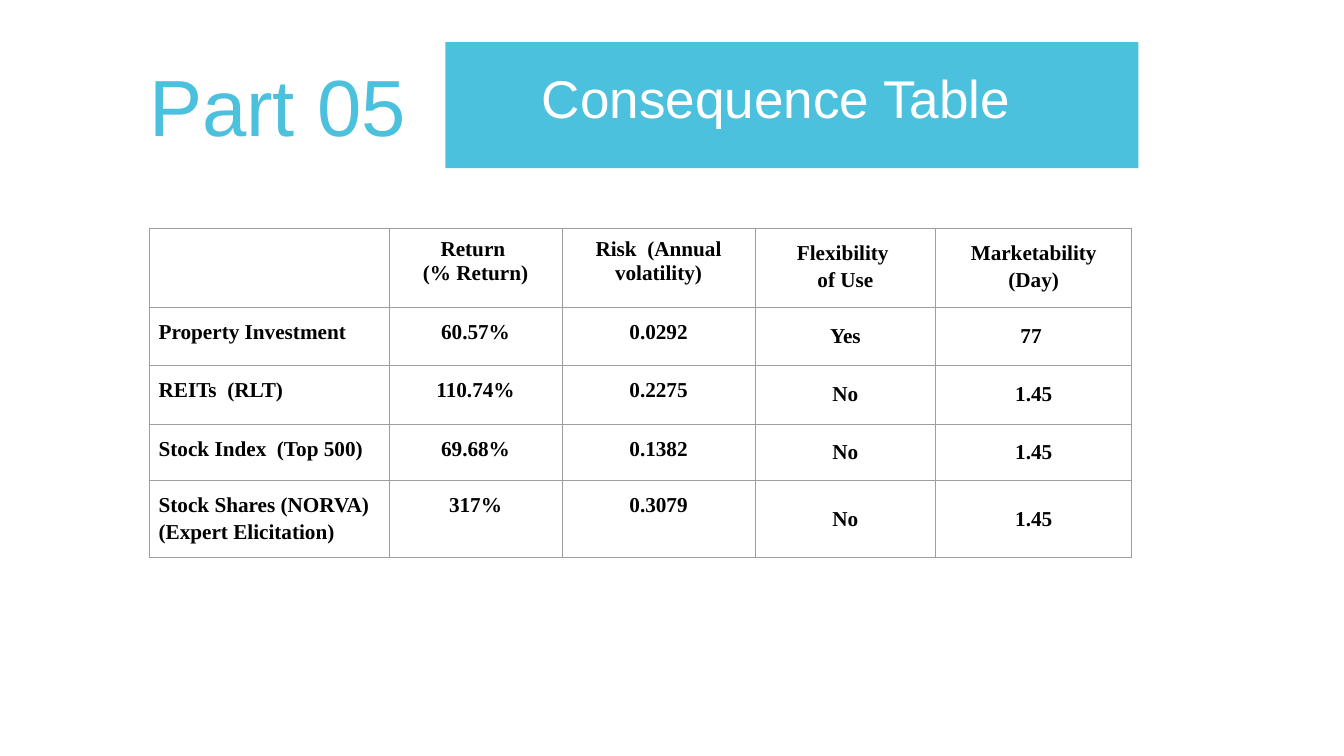
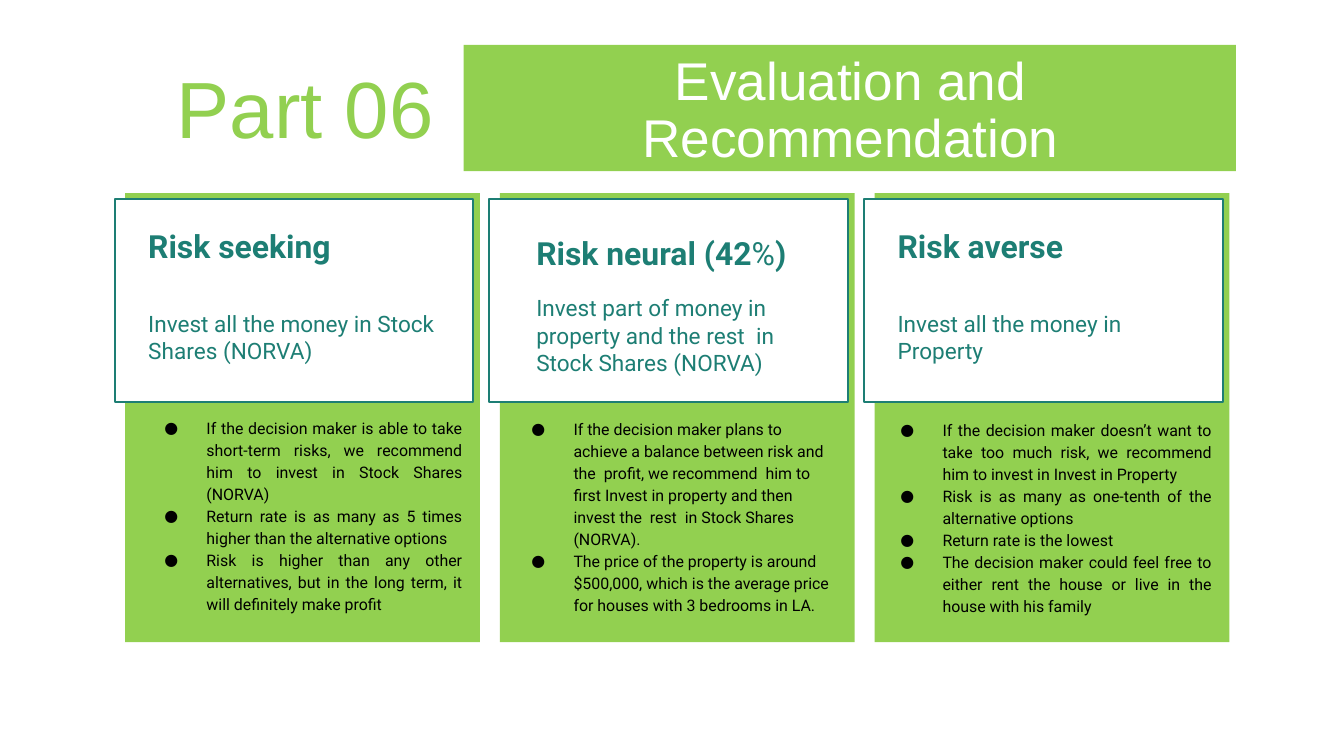
import dataclasses
import pptx
import pptx.dml.color
import pptx.enum.shapes
import pptx.enum.text
import pptx.oxml
import pptx.oxml.ns
import pptx.util

ALIGN = pptx.enum.text.PP_ALIGN
ANCHOR = pptx.enum.text.MSO_ANCHOR
PX = 9144


@dataclasses.dataclass(frozen=True)
class Theme:
    blue: str = "4BC1DD"
    green: str = "92D050"
    teal: str = "1D7E74"
    white: str = "FFFFFF"
    black: str = "000000"
    rule: str = "9E9E9E"
    title_font: str = "Arial"
    card_font: str = "Roboto"
    table_font: str = "Times New Roman"
    part_size: int = 60
    title_size: int = 40
    heading_size: int = 24
    advice_size: int = 17
    table_size: int = 16
    list_size: int = 12


THEME = Theme()
SLIDE_SIZE = (1406, 791)

CONSEQUENCE = {
    "part": "Part 05", "part_at": (156, 59, 293, 102), "color": THEME.blue, "layout": 5,
    "title": "Consequence Table ", "band": (466, 44, 725, 132), "insets": (57, 32, 75, 0),
}
RECOMMENDATION = {
    "part": "Part 06", "part_at": (185, 62, 293, 102), "color": THEME.green, "layout": 4,
    "title": "Evaluation and Recommendation", "band": (485, 47, 808, 132), "insets": (75, 10, 74, 0),
}

TABLE_AT = (156, 239)
COLUMN_WIDTHS = (251, 181, 202, 189, 205)
ROW_HEIGHTS = (83, 60, 62, 59, 80)
TABLE_ROWS = [
    ("", "Return \n(% Return)", "Risk  (Annual volatility)", "Flexibility \nof Use", "Marketability (Day)"),
    ("Property Investment", "60.57%", "0.0292", "Yes", "77 "),
    ("REITs  (RLT)", "110.74%", "0.2275", "No", "1.45"),
    ("Stock Index  (Top 500)", "69.68%", "0.1382", "No", "1.45"),
    ("Stock Shares (NORVA)\n(Expert Elicitation)", "317%", "0.3079", "No", "1.45"),
]

CARD_LEFT, CARD_TOP, CARD_PITCH = 131, 202, 392
CARD_WIDTH, CARD_HEIGHT = 371, 470
CARDS = [
    {
        "heading": [("Risk seeking", True)], "heading_at": (10, 21, 332, 78),
        "advice": "Invest all the money in Stock Shares (NORVA)", "advice_at": (10, 108, 332, 70),
        "align": ALIGN.JUSTIFY, "insets": (14, 233, 18, 14),
        "reasons": [
            "If the decision maker is able to take short-term risks, we recommend him to invest in "
            "Stock Shares (NORVA) ",
            "Return rate is as many as 5 times higher than the alternative options",
            "Risk is higher than any other alternatives, but in the long term, it will definitely make profit ",
        ],
    },
    {
        "heading": [("Risk neural (42", True), ("%", False), (")", True)], "heading_at": (24, 29, 293, 63),
        "advice": "Invest part of money in property and the rest  in Stock Shares (NORVA)",
        "advice_at": (24, 92, 293, 102),
        "align": ALIGN.LEFT, "insets": (6, 234, 22, 14),
        "reasons": [
            "If the decision maker plans to achieve a balance between risk and the  profit, we recommend  "
            "him to first Invest in property and then invest the  rest  in Stock Shares (NORVA).",
            "The price of the property is around $500,000, which is the average price for houses "
            "with 3 bedrooms in LA.",
        ],
    },
    {
        "heading": [("Risk averse", True)], "heading_at": (10, 21, 332, 78),
        "advice": "Invest all the money in Property", "advice_at": (10, 108, 332, 70),
        "align": ALIGN.JUSTIFY, "insets": (0, 235, 18, 14),
        "reasons": [
            "If the decision maker doesn’t want to take too much risk, we recommend him to invest in "
            "Invest in Property",
            "Risk is as many as one-tenth of the alternative options",
            "Return rate is the lowest",
            "The decision maker could feel free to either rent the house or live in the house with his family",
        ],
    },
]


def rgb(color):
    return pptx.dml.color.RGBColor.from_string(color)


def emu(lengths):
    return [length * PX for length in lengths]


def paint(shape, color):
    shape.fill.solid()
    shape.fill.fore_color.rgb = rgb(color)


def place(shape, at):
    shape.left, shape.top, shape.width, shape.height = emu(at)


def set_frame(frame, insets):
    frame.word_wrap = True
    frame.auto_size = pptx.enum.text.MSO_AUTO_SIZE.NONE
    frame.vertical_anchor = ANCHOR.TOP
    frame.margin_left, frame.margin_top, frame.margin_right, frame.margin_bottom = emu(insets)


def set_para(para, font, size, color, bold=False, align=ALIGN.LEFT, spacing=1.0):
    para.alignment = align
    para.line_spacing = spacing
    para.space_before = pptx.util.Pt(0)
    para.font.name = font
    para.font.size = pptx.util.Pt(size)
    para.font.bold = bold
    para.font.color.rgb = rgb(color)


def add_bullet(para):
    properties = para._p.get_or_add_pPr()
    properties.set("marL", str(71 * PX))
    properties.set("indent", str(-44 * PX))
    space = pptx.oxml.ns.nsdecls("a")
    for xml in (f'<a:buClr {space}><a:srgbClr val="{THEME.black}"/></a:buClr>',
                f'<a:buFont {space} typeface="{THEME.card_font}"/>',
                f'<a:buChar {space} char="●"/>'):
        properties.append(pptx.oxml.parse_xml(xml))


def add_text(page, at, spans, font, size, color, inset):
    box = page.shapes.add_textbox(*emu(at))
    set_frame(box.text_frame, (inset,) * 4)
    para = box.text_frame.paragraphs[0]
    set_para(para, font, size, color, bold=spans[0][1])
    for text, bold in spans:
        span = para.add_run()
        span.text = text
        if bold != spans[0][1]:
            span.font.bold = bold


def add_page(deck, head):
    page = deck.slides.add_slide(deck.slide_layouts[head["layout"]])
    title = page.shapes.title
    place(title, head["band"])
    paint(title, head["color"])
    title.text_frame.text = head["title"]
    set_frame(title.text_frame, head["insets"])
    set_para(title.text_frame.paragraphs[0], THEME.title_font, THEME.title_size, THEME.white,
             align=ALIGN.CENTER, spacing=0.9)
    add_text(page, head["part_at"], [(head["part"], False)], THEME.title_font, THEME.part_size,
             head["color"], 0)
    return page


def add_borders(cell):
    properties = cell._tc.get_or_add_tcPr()
    for position, side in enumerate(("lnL", "lnR", "lnT", "lnB")):
        properties.insert(position, pptx.oxml.parse_xml(
            f'<a:{side} {pptx.oxml.ns.nsdecls("a")} w="9525"><a:solidFill>'
            f'<a:srgbClr val="{THEME.rule}"/></a:solidFill></a:{side}>'))


def fill_cell(cell, text, row, column):
    late_column = column > 2
    cell.text = text
    cell.fill.background()
    add_borders(cell)
    cell.margin_left = cell.margin_top = cell.margin_right = cell.margin_bottom = 10 * PX
    cell.vertical_anchor = ANCHOR.MIDDLE if row and late_column else ANCHOR.TOP
    for para in cell.text_frame.paragraphs:
        set_para(para, THEME.table_font, THEME.table_size, THEME.black, bold=True,
                 align=ALIGN.CENTER if column else ALIGN.LEFT,
                 spacing=1.15 if late_column == (row == 0) else 1.0)


def add_consequence_table(page):
    size = (sum(COLUMN_WIDTHS), sum(ROW_HEIGHTS))
    table = page.shapes.add_table(len(ROW_HEIGHTS), len(COLUMN_WIDTHS), *emu(TABLE_AT + size)).table
    for column, width in zip(table.columns, COLUMN_WIDTHS):
        column.width = width * PX
    for row, height in zip(table.rows, ROW_HEIGHTS):
        row.height = height * PX
    for row, texts in enumerate(TABLE_ROWS):
        for column, text in enumerate(texts):
            fill_cell(table.cell(row, column), text, row, column)


def add_card(page, panel, card, left):
    place(panel, (left, CARD_TOP, CARD_WIDTH, CARD_HEIGHT))
    paint(panel, THEME.green)
    panel.text_frame.text = "\n".join(card["reasons"])
    set_frame(panel.text_frame, card["insets"])
    for para in panel.text_frame.paragraphs:
        add_bullet(para)
        set_para(para, THEME.card_font, THEME.list_size, THEME.black, align=card["align"], spacing=1.15)

    frame = page.shapes.add_shape(pptx.enum.shapes.MSO_SHAPE.RECTANGLE,
                                  *emu((left - 11, CARD_TOP + 6, 375, 213)))
    frame.shadow.inherit = False
    paint(frame, THEME.white)
    frame.line.color.rgb = rgb(THEME.teal)
    frame.line.width = pptx.util.Pt(1.5)

    for spans, (x, y, width, height), size in (
            (card["heading"], card["heading_at"], THEME.heading_size),
            ([(card["advice"], False)], card["advice_at"], THEME.advice_size)):
        add_text(page, (left + x, CARD_TOP + y, width, height), spans, THEME.card_font, size, THEME.teal, 14)


def add_cards(page):
    bodies = [holder for holder in page.placeholders if holder.placeholder_format.idx]
    for index, (panel, card) in enumerate(zip(bodies, CARDS)):
        add_card(page, panel, card, CARD_LEFT + index * CARD_PITCH)
    for spare in bodies[len(CARDS):]:
        spare.element.getparent().remove(spare.element)


def main():
    deck = pptx.Presentation()
    deck.slide_width, deck.slide_height = emu(SLIDE_SIZE)
    add_consequence_table(add_page(deck, CONSEQUENCE))
    add_cards(add_page(deck, RECOMMENDATION))
    deck.save("out.pptx")


if __name__ == "__main__":
    main()
